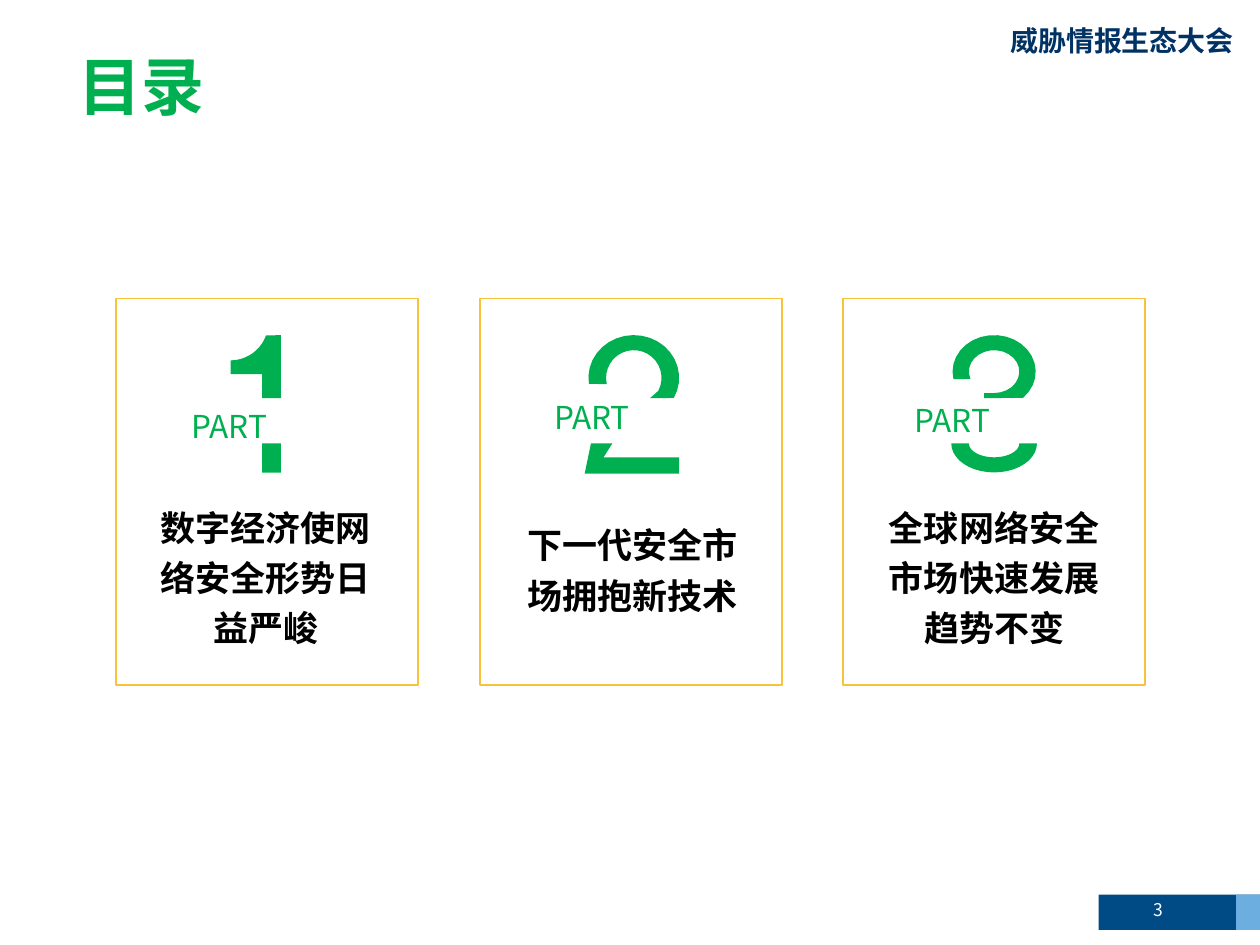
from math import cos, radians, sin

from lxml import etree
from pptx import Presentation
from pptx.dml.color import RGBColor
from pptx.enum.shapes import MSO_SHAPE
from pptx.enum.text import MSO_ANCHOR, MSO_AUTO_SIZE, PP_ALIGN
from pptx.oxml.ns import qn
from pptx.util import Inches, Pt

FONT = "Noto Sans CJK SC"
COLORS = {
    "green": "00B050", "gold": "F9C23C", "navy": "003264", "blue": "004B85",
    "light blue": "6CAEDF", "black": "000000", "white": "FFFFFF",
}

presentation = Presentation()
presentation.slide_width, presentation.slide_height = Inches(10), Inches(7.5)
slide = presentation.slides.add_slide(presentation.slide_layouts[6])


def add_text(box, text, size, color, bold=False, align=PP_ALIGN.LEFT):
    shape = slide.shapes.add_textbox(*(Inches(value) for value in box))
    frame = shape.text_frame
    frame.word_wrap = True
    frame.auto_size = MSO_AUTO_SIZE.SHAPE_TO_FIT_TEXT
    paragraph = frame.paragraphs[0]
    paragraph.alignment = align
    run = paragraph.add_run()
    run.text = text
    run.font.name = FONT
    run.font.size = Pt(size)
    run.font.bold = bold
    run.font.color.rgb = RGBColor.from_string(COLORS[color])
    etree.SubElement(run.font._element, qn("a:ea")).set("typeface", FONT)
    return frame


def arc(center, radius_x, radius_y, start, end, steps=20):
    """Return points on an ellipse, clockwise in degrees from the right."""
    angles = [radians(start + (end - start) * step / steps) for step in range(steps + 1)]
    return [(center[0] + radius_x * cos(angle), center[1] + radius_y * sin(angle))
            for angle in angles]


# Header and footer
for left, width, color in ((8.72, 1.28, "blue"), (9.81, 0.19, "light blue")):
    bar = slide.shapes.add_shape(
        MSO_SHAPE.RECTANGLE, Inches(left), Inches(7.1), Inches(width), Inches(0.28))
    bar.shadow.inherit = False
    bar.fill.solid()
    bar.fill.fore_color.rgb = RGBColor.from_string(COLORS[color])
    bar.line.fill.background()

add_text((7.8, 0.14, 2.09, 0.37), "威胁情报生态大会", 16, "navy", True, PP_ALIGN.RIGHT)
title = add_text((0.57, 0.33, 1.11, 0.71), "目录", 36, "green", True)
title.word_wrap = False
title.margin_left = title.margin_right = Inches(0.05)
title.margin_top = title.margin_bottom = Inches(0.05)
page_number = add_text((8.81, 7.02, 0.52, 0.4), "3", 10, "white", align=PP_ALIGN.RIGHT)
page_number.auto_size = MSO_AUTO_SIZE.NONE
page_number.vertical_anchor = MSO_ANCHOR.MIDDLE

# Each digit is cut in two by a gap for the word PART
gap_top, gap_bottom = 3.16, 3.52
two_center, three_center, three_base = (5.03, 3), (7.89, 2.95), (7.89, gap_bottom)
one = [
    [(2.08, gap_bottom), (2.23, gap_bottom), (2.23, 3.75), (2.08, 3.75)],
    arc((1.83, 2.56), 0.3, 0.3, 90, 20)
    + [(2.23, 2.66), (2.23, gap_top), (2.08, gap_top), (2.08, 2.97), (1.83, 2.97)],
]
two = [
    [(4.69, gap_bottom), (4.86, gap_bottom), (4.79, 3.63), (5.39, 3.63),
     (5.39, 3.76), (4.64, 3.76)],
    arc(two_center, 0.36, 0.34, 172, 388) + [(5.16, gap_top)]
    + arc(two_center, 0.22, 0.22, 388, 167),
]
three = [
    arc(three_base, 0.34, 0.23, 0, 180) + arc(three_base, 0.2, 0.11, 180, 0),
    arc(three_center, 0.33, 0.29, 168, 406) + [(7.81, gap_top), (7.81, 3.12)]
    + arc(three_center, 0.2, 0.17, 450, 160),
]

# Frame left, digit, PART position, heading top and height, heading
parts = [
    (0.92, one, (1.42, 3.18), (1.17, 3.9, 1.88, 1.28), "数字经济使网络安全形势日益严峻"),
    (3.81, two, (4.3, 3.11), (4.08, 4.04, 1.88, 0.87), "下一代安全市场拥抱新技术"),
    (6.69, three, (7.16, 3.13), (6.95, 3.9, 1.88, 1.28), "全球网络安全市场快速发展趋势不变"),
]
for left, digit, label_position, heading_box, heading in parts:
    card = slide.shapes.add_shape(
        MSO_SHAPE.RECTANGLE, Inches(left), Inches(2.37), Inches(2.4), Inches(3.07))
    card.shadow.inherit = False
    card.fill.background()
    card.line.color.rgb = RGBColor.from_string(COLORS["gold"])
    card.line.width = Pt(1)

    base, top = [[(Inches(x), Inches(y)) for x, y in contour] for contour in digit]
    builder = slide.shapes.build_freeform(*base[0])
    builder.add_line_segments(base[1:], close=True)
    builder.move_to(*top[0])
    builder.add_line_segments(top[1:], close=True)
    number = builder.convert_to_shape()
    number.shadow.inherit = False
    number.fill.solid()
    number.fill.fore_color.rgb = RGBColor.from_string(COLORS["green"])
    number.line.fill.background()

    add_text((*label_position, 1.47, 0.4), "PART", 18, "green", align=PP_ALIGN.JUSTIFY)
    heading_frame = add_text(heading_box, heading, 20, "black", True, PP_ALIGN.CENTER)
    heading_frame.paragraphs[0].line_spacing = 1.2

presentation.save("out.pptx")
